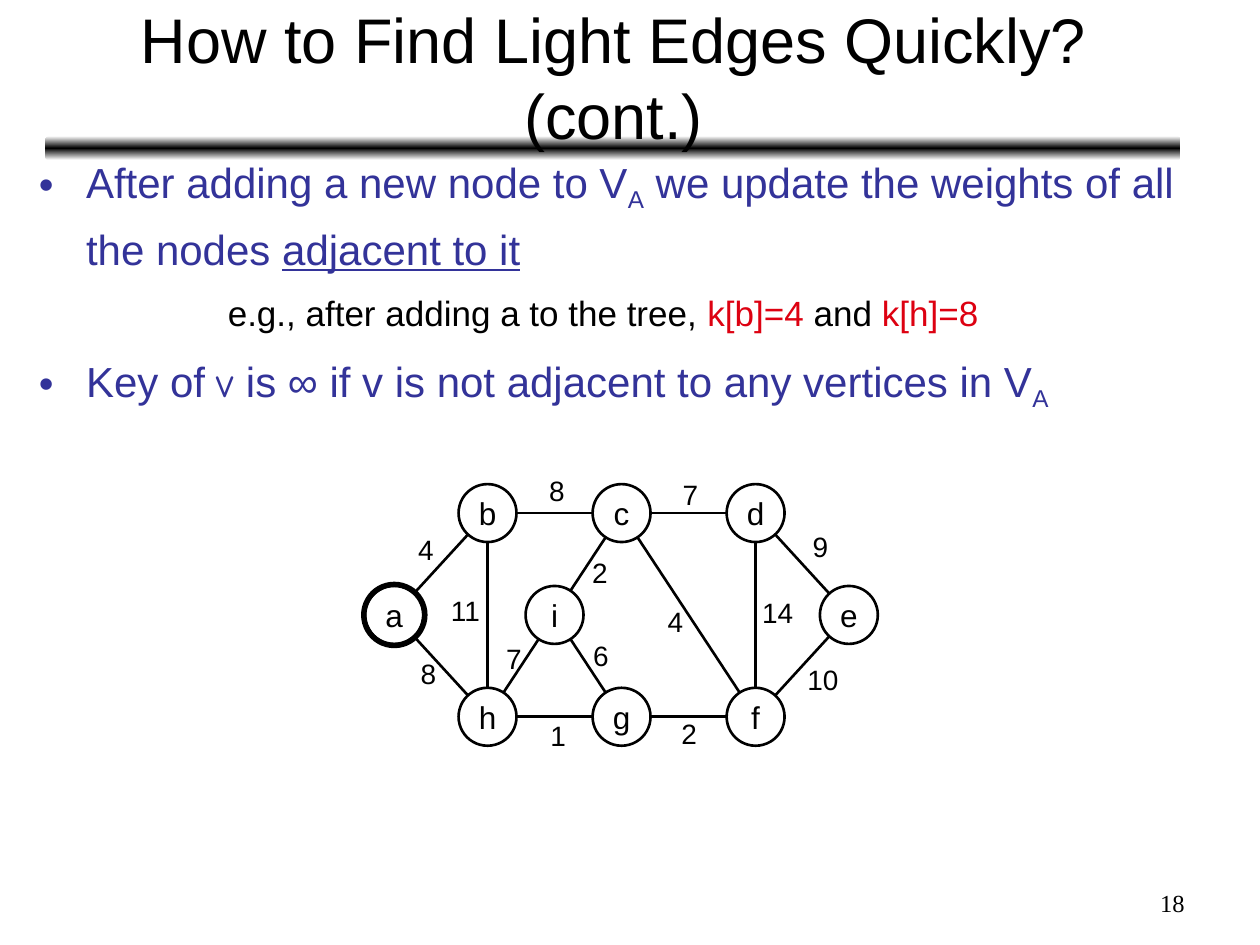
from copy import deepcopy
from dataclasses import dataclass
from math import hypot

from lxml import etree
from pptx import Presentation
from pptx.dml.color import RGBColor
from pptx.enum.shapes import MSO_CONNECTOR, MSO_SHAPE
from pptx.enum.text import MSO_ANCHOR, MSO_AUTO_SIZE, PP_ALIGN
from pptx.oxml.ns import qn
from pptx.util import Pt

ROUNDED = MSO_SHAPE.ROUNDED_RECTANGLE
OVAL = MSO_SHAPE.OVAL
STRAIGHT = MSO_CONNECTOR.STRAIGHT
MIDDLE, TOP = MSO_ANCHOR.MIDDLE, MSO_ANCHOR.TOP
LEFT, CENTER, RIGHT = PP_ALIGN.LEFT, PP_ALIGN.CENTER, PP_ALIGN.RIGHT
GROW = MSO_AUTO_SIZE.SHAPE_TO_FIT_TEXT

BLACK, WHITE, INDIGO, RED = "000000", "FFFFFF", "333399", "DD0111"
SANS, SERIF, CASUAL = "Arial", "Times New Roman", "Comic Neue"

NODE_SIZE = 33.1
FIRST_COLUMN, COLUMN_GAP, SIDE_GAP = 278.6, 76.6, 53.3
FIRST_ROW, ROW_GAP = 293.2, 58.2


@dataclass(frozen=True)
class Span:
    text: str
    color: str | None = None
    font: str | None = None
    subscript: bool = False
    underline: bool = False


@dataclass(frozen=True)
class Item:
    spans: tuple[Span, ...]
    size: float
    color: str
    before: float
    margin: float
    bullet: bool = False


@dataclass(frozen=True)
class Node:
    x: float
    y: float


@dataclass(frozen=True)
class Edge:
    start: str
    end: str
    weight: str
    label_left: float
    label_top: float


def column(step: float, shift: float = 0) -> float:
    return FIRST_COLUMN + step * COLUMN_GAP + shift


def row(step: int) -> float:
    return FIRST_ROW + step * ROW_GAP


NODES = {
    "a": Node(column(0, -SIDE_GAP), row(1)),
    "b": Node(column(0), row(0)),
    "c": Node(column(1), row(0)),
    "d": Node(column(2), row(0)),
    "e": Node(column(2, SIDE_GAP), row(1)),
    "h": Node(column(0), row(2)),
    "g": Node(column(1), row(2)),
    "f": Node(column(2), row(2)),
    "i": Node(column(0.5), row(1)),
}

EDGES = (
    Edge("a", "b", "4", 231.8, 301),
    Edge("b", "c", "8", 306.7, 267.1),
    Edge("c", "d", "7", 383, 269.3),
    Edge("a", "h", "8", 233.3, 371.5),
    Edge("b", "h", "11", 250.6, 335.5),
    Edge("h", "g", "1", 307.4, 406.8),
    Edge("g", "f", "2", 382.3, 406.1),
    Edge("h", "i", "7", 282.2, 362.9),
    Edge("c", "i", "2", 331.2, 313.9),
    Edge("c", "f", "4", 374.4, 342),
    Edge("d", "f", "14", 428.4, 337),
    Edge("d", "e", "9", 457.2, 298.8),
    Edge("e", "f", "10", 454.3, 375.1),
    Edge("i", "g", "6", 331.9, 361.4),
)

ITEMS = (
    Item((
        Span("After adding a new node to V"),
        Span("A", subscript=True),
        Span(" we update the weights of all the nodes "),
        Span("adjacent to it", underline=True),
    ), 24, INDIGO, 6, 27, True),
    Item((
        Span("e.g., after adding a to the tree, "),
        Span("k[b]=4", RED),
        Span(" and "),
        Span("k[h]=8", RED),
    ), 20, BLACK, 5, 108),
    Item((
        Span("Key of "),
        Span("v", font=CASUAL),
        Span(" is ∞ if v is not adjacent to any vertices in V"),
        Span("A", subscript=True),
    ), 24, INDIGO, 6, 27, True),
)


def rgb(value: str) -> RGBColor:
    return RGBColor.from_string(value)


def style(font, size: float, color: str, name: str = SANS) -> None:
    font.size, font.name = Pt(size), name
    font.color.rgb = rgb(color)


def add_text(page, text: str, left: float, top: float, width: float, height: float,
             size: float, align=LEFT, anchor=TOP, name: str = SANS, grow: bool = False) -> None:
    box = page.shapes.add_textbox(Pt(left), Pt(top), Pt(width), Pt(height))
    frame = box.text_frame
    frame.word_wrap = not grow
    frame.vertical_anchor = anchor
    if grow:
        frame.auto_size = GROW
    para = frame.paragraphs[0]
    para.text, para.alignment = text, align
    style(para.font, size, BLACK, name)


def add_rule(page) -> None:
    rule = page.shapes.add_shape(ROUNDED, Pt(25.9), Pt(77.8), Pt(648.7), Pt(13.7))
    rule.shadow.inherit = False
    rule.line.fill.background()
    rule.fill.gradient()
    rule.fill.gradient_angle = 90
    edge, middle = rule.fill.gradient_stops
    edge.color.rgb, edge.position = rgb(WHITE), 0
    middle.color.rgb, middle.position = rgb(BLACK), 0.5
    stops = rule._element.spPr.find(".//" + qn("a:gsLst"))
    last = deepcopy(stops[0])
    last.set("pos", "100000")
    stops.append(last)


def add_items(page, items: tuple[Item, ...]) -> None:
    box = page.shapes.add_textbox(Pt(15.1), Pt(79.2), Pt(691.2), Pt(437))
    frame = box.text_frame
    frame.word_wrap = True
    for index, item in enumerate(items):
        para = frame.add_paragraph() if index else frame.paragraphs[0]
        para.line_spacing, para.space_before = 1.2, Pt(item.before)
        properties = para._p.get_or_add_pPr()
        properties.set("marL", str(Pt(item.margin)))
        if item.bullet:
            properties.set("indent", str(-Pt(item.margin)))
            tint = etree.SubElement(properties, qn("a:buClr"))
            etree.SubElement(tint, qn("a:srgbClr"), val=item.color)
            etree.SubElement(properties, qn("a:buFont"), typeface=SANS)
            etree.SubElement(properties, qn("a:buChar"), char="•")
        for span in item.spans:
            run = para.add_run()
            run.text = span.text
            style(run.font, item.size, span.color or item.color, span.font or SANS)
            if span.underline:
                run.font.underline = True
            if span.subscript:
                run._r.get_or_add_rPr().set("baseline", "-25000")


def add_circle(page, node: Node, size: float, weight: float, text: str = "") -> None:
    circle = page.shapes.add_shape(
        OVAL, Pt(node.x - size / 2), Pt(node.y - size / 2), Pt(size), Pt(size))
    circle.shadow.inherit = False
    circle.fill.background()
    circle.line.color.rgb, circle.line.width = rgb(BLACK), Pt(weight)
    if text:
        circle.text_frame.word_wrap = False
        para = circle.text_frame.paragraphs[0]
        para.text, para.alignment = text, CENTER
        style(para.font, 18, BLACK)


def add_edge(page, edge: Edge) -> None:
    start, end = NODES[edge.start], NODES[edge.end]
    across, down = end.x - start.x, end.y - start.y
    trim = NODE_SIZE / 2 / hypot(across, down)
    line = page.shapes.add_connector(
        STRAIGHT, Pt(start.x + across * trim), Pt(start.y + down * trim),
        Pt(end.x - across * trim), Pt(end.y - down * trim))
    line.line.color.rgb, line.line.width = rgb(BLACK), Pt(1.5)
    etree.SubElement(line._element.spPr, qn("a:effectLst"))
    width = 15 + 9 * len(edge.weight)
    add_text(page, edge.weight, edge.label_left, edge.label_top, width, 26.6, 16, grow=True)


def main() -> None:
    deck = Presentation()
    deck.slide_width, deck.slide_height = Pt(720), Pt(540)
    page = deck.slides.add_slide(deck.slide_layouts[6])
    add_rule(page)
    add_text(page, "How to Find Light Edges Quickly? (cont.)",
             26.6, 7.9, 648, 71.3, 36, CENTER, MIDDLE)
    add_items(page, ITEMS)
    for name, node in NODES.items():
        add_circle(page, node, NODE_SIZE, 1.5, name)
    for edge in EDGES:
        add_edge(page, edge)
    add_circle(page, NODES["a"], 35, 3)
    add_text(page, "18", 516.2, 504, 167.8, 25.2, 14, RIGHT, name=SERIF)
    deck.save("out.pptx")


if __name__ == "__main__":
    main()
